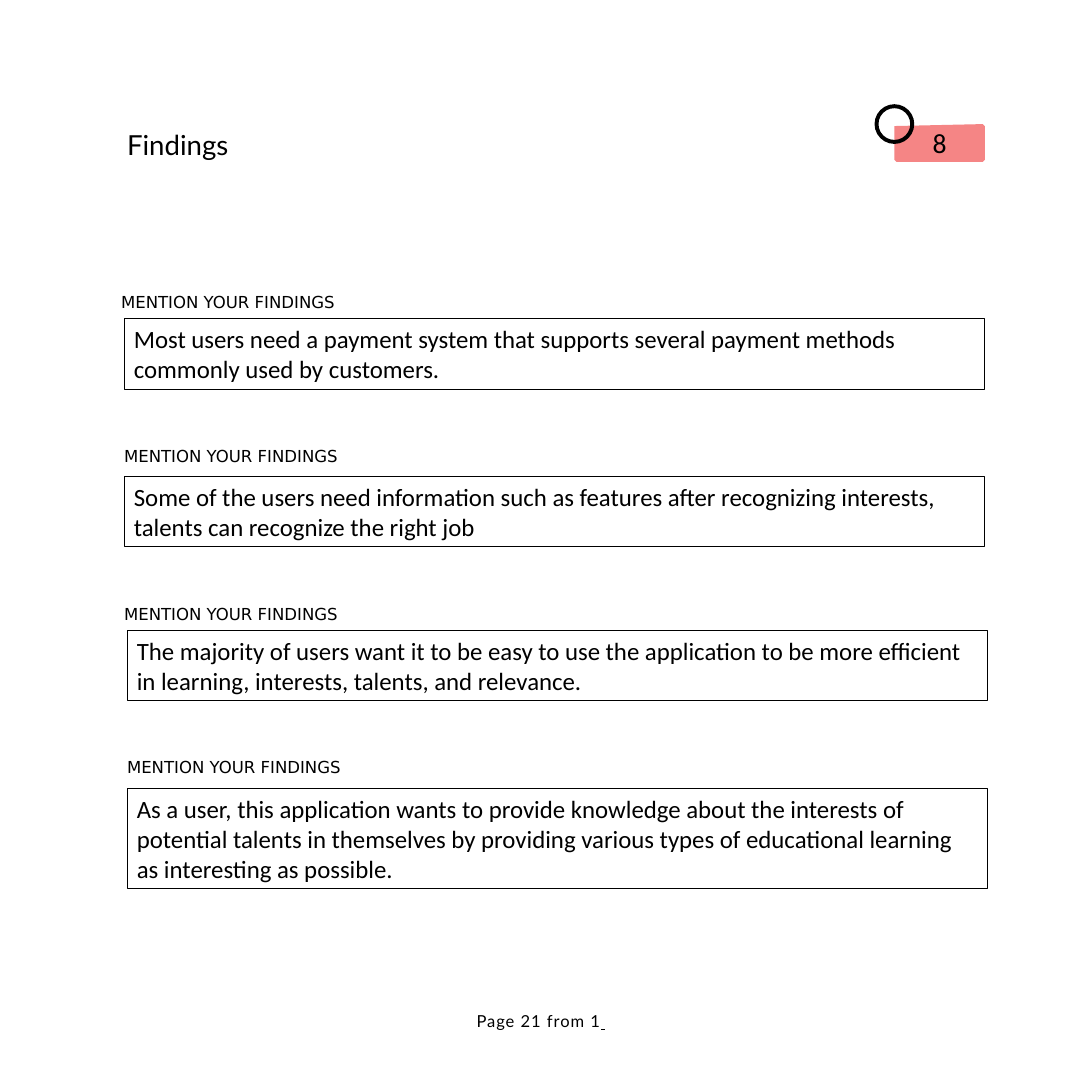
from pptx import Presentation
from pptx.dml.color import RGBColor
from pptx.enum.shapes import MSO_SHAPE as SHAPE
from pptx.enum.text import MSO_ANCHOR as ANCHOR, PP_ALIGN as ALIGN
from pptx.oxml import parse_xml
from pptx.oxml.ns import nsdecls
from pptx.util import Pt

PX = 9144
BLACK = RGBColor(0x00, 0x00, 0x00)
CORAL = RGBColor(0xF5, 0x85, 0x85)

BOX_W, LABEL_W, LABEL_H = 867, 229, 22
LABEL = "MENTION YOUR FINDINGS"
FINDINGS = [
    ((122, 293), (125, 321, 71),
     "Most users need a payment system that supports several payment "
     "methods commonly used by customers."),
    ((125, 448), (125, 480, 71),
     "Some of the users need information such as features after recognizing "
     "interests, talents can recognize the right job"),
    ((125, 607), (128, 635, 71),
     "The majority of users want it to be easy to use the application to be "
     "more efficient in learning, interests, talents, and relevance."),
    ((128, 762), (128, 794, 101),
     "As a user, this application wants to provide knowledge about the "
     "interests of potential talents in themselves by providing various types "
     "of educational learning as interesting as possible."),
]


def px(*lengths):
    """Turn px lengths into EMU."""
    return [n * PX for n in lengths]


def format_paragraph(p, font, size, align=ALIGN.LEFT):
    """Set the font, size, black colour and alignment of a paragraph."""
    p.alignment = align
    p.font.name, p.font.size = font, Pt(size)
    p.font.color.rgb = BLACK


def set_frame(tf, anchor, top=0):
    """Make a wrapping text frame with no side margins."""
    tf.word_wrap = True
    tf.vertical_anchor = anchor
    tf.margin_left = tf.margin_right = tf.margin_bottom = 0
    tf.margin_top = top * PX


def add_title(slide, x, y, w, h):
    """Place the slide title in the box."""
    s = slide.shapes.title
    s.left, s.top, s.width, s.height = px(x, y, w, h)
    s.text_frame.text = "Findings"
    set_frame(s.text_frame, ANCHOR.TOP, 1)
    format_paragraph(s.text_frame.paragraphs[0], "Lato", 20)


def add_badge(slide, x, y, w, h):
    """Draw the section number on a slanted tag with a ring at its corner."""
    shapes = slide.shapes.add_group_shape().shapes
    left, top, ring = x + 20, y + 20, 40
    right, bottom = x + w, y + h
    outline = [(right - 2, top), (right, top + 2), (right, bottom - 2),
               (right - 2, bottom), (left + 2, bottom), (left, bottom - 2)]
    builder = shapes.build_freeform(left, top + 2, scale=PX)
    builder.add_line_segments(outline)
    tag = builder.convert_to_shape()
    circle = shapes.add_shape(SHAPE.DONUT, *px(x, y, ring, ring))
    circle.adjustments[0] = 0.1
    for s, color in ((tag, CORAL), (circle, BLACK)):
        s.shadow.inherit = False
        s.fill.solid()
        s.fill.fore_color.rgb = color
        s.line.fill.background()
    tag.text_frame.text = "8"
    set_frame(tag.text_frame, ANCHOR.MIDDLE)
    format_paragraph(tag.text_frame.paragraphs[0], "Calibri", 20, ALIGN.CENTER)


def add_label(slide, x, y):
    """Write the heading of a finding."""
    tf = slide.shapes.add_textbox(*px(x, y, LABEL_W, LABEL_H)).text_frame
    tf.text = LABEL
    set_frame(tf, ANCHOR.TOP, 1)
    format_paragraph(tf.paragraphs[0], "DejaVu Sans", 12)


def add_finding(slide, x, y, h, text):
    """Draw an outlined box holding one finding."""
    s = slide.shapes.add_shape(SHAPE.RECTANGLE, *px(x, y, BOX_W, h))
    s.shadow.inherit = False
    s.fill.background()
    s.line.color.rgb = BLACK
    s.line.width = Pt(0.75)
    tf = s.text_frame
    tf.word_wrap = True
    tf.text = text
    format_paragraph(tf.paragraphs[0], "Calibri", 18)


def add_footer(slide, x, y, w, h):
    """Write the page count, followed by a short underlined tab."""
    tf = slide.shapes.add_textbox(*px(x, y, w, h)).text_frame
    set_frame(tf, ANCHOR.TOP)
    p = tf.paragraphs[0]
    p.line_spacing = Pt(14.1)
    p._p.get_or_add_pPr().append(parse_xml(
        f'<a:tabLst {nsdecls("a")}><a:tab pos="{135 * PX}" algn="l"/></a:tabLst>'))
    format_paragraph(p, "Lato", 12)
    r = p.add_run()
    r.text = "Page 21 from 1"
    r._r.get_or_add_rPr().set("spc", "70")
    r = p.add_run()
    r.text = " \t"
    r.font.name = "Times New Roman"
    r.font.underline = True


def main():
    """Build the findings slide and save it."""
    prs = Presentation()
    prs.slide_width, prs.slide_height = px(1100, 1100)
    slide = prs.slides.add_slide(prs.slide_layouts[5])
    add_title(slide, 128, 128, 393, 35)
    add_badge(slide, 881, 105, 111, 58)
    for label, box, text in FINDINGS:
        add_label(slide, *label)
        add_finding(slide, *box, text)
    add_footer(slide, 480, 1019, 141, 20)
    prs.save("out.pptx")


if __name__ == "__main__":
    main()
